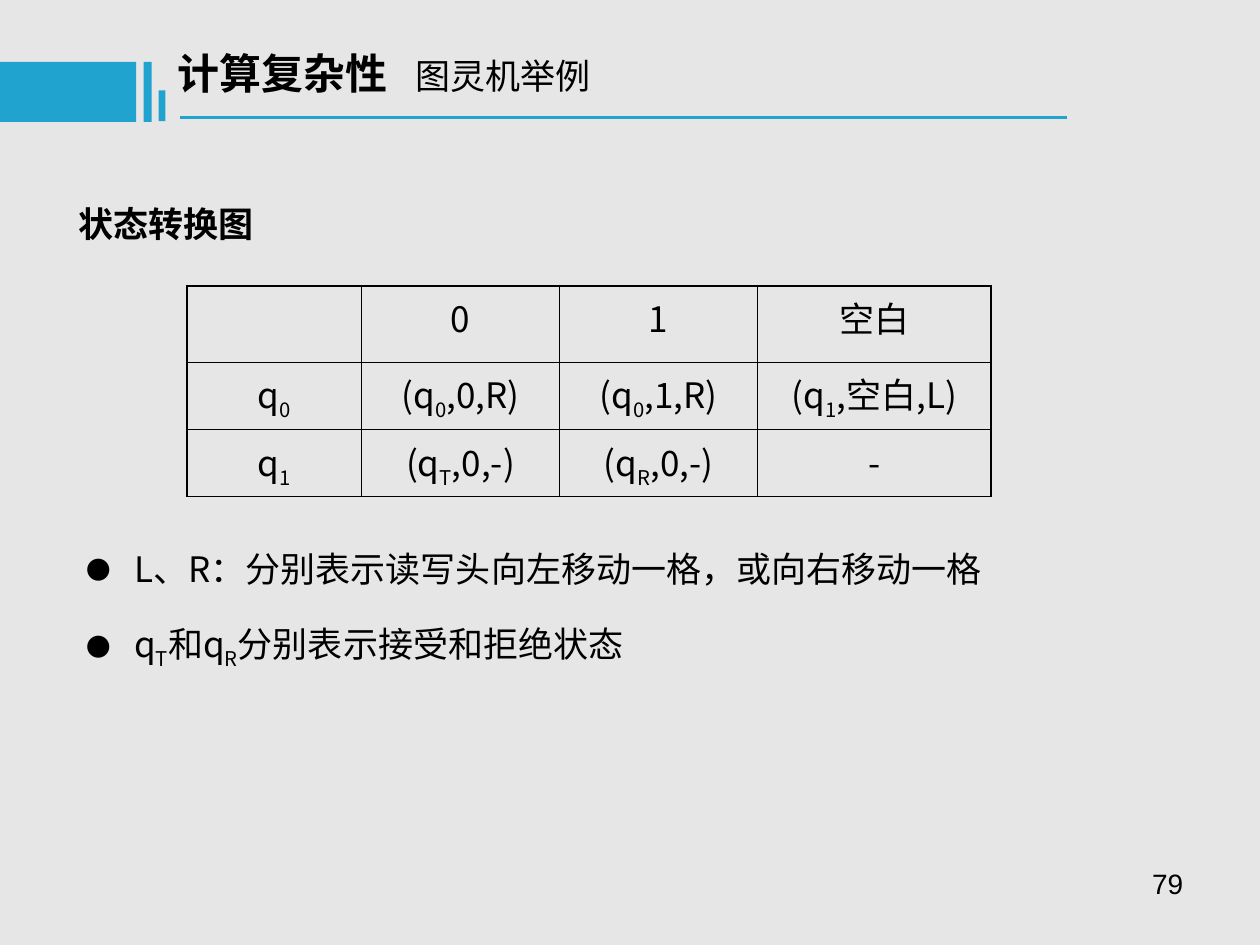
from dataclasses import dataclass

from lxml.etree import SubElement
from pptx import Presentation
from pptx.dml.color import RGBColor
from pptx.enum.shapes import MSO_CONNECTOR, MSO_SHAPE
from pptx.enum.text import MSO_ANCHOR, MSO_AUTO_SIZE, PP_ALIGN
from pptx.oxml.ns import qn
from pptx.util import Pt

BLACK = RGBColor(0x00, 0x00, 0x00)
BLUE = RGBColor(0x21, 0xA3, 0xD0)
GREY = RGBColor(0xE7, 0xE6, 0xE6)
HAN_FONT = "Noto Sans CJK SC"
OUTER, INNER = 1.08, 0.45


@dataclass(frozen=True)
class Area:
    left: float
    top: float
    width: float
    height: float

    def lengths(self) -> tuple:
        return Pt(self.left), Pt(self.top), Pt(self.width), Pt(self.height)


HEADER_BARS = [
    Area(0, 35.4, 77.8, 34.2),
    Area(82.1, 35.4, 4.6, 34.2),
    Area(90.7, 51.6, 3.9, 17.6),
]
COLUMN_WIDTHS = [99.8, 113.2, 113.2, 133.4]
ROW_HEIGHTS = [43.5, 38.5, 38.5]
TRANSITIONS = [
    ["", "0", "1", "空白"],
    ["q_0", "(q_0,0,R)", "(q_0,1,R)", "(q_1,空白,L)"],
    ["q_1", "(q_T,0,-)", "(q_R,0,-)", "-"],
]
NOTES = [
    "L、R：分别表示读写头向左移动一格，或向右移动一格",
    "q_T和q_R分别表示接受和拒绝状态",
]


def set_font(para, size: float, name: str = HAN_FONT, bold: bool = False) -> None:
    font = para.font
    font.size, font.name, font.bold = Pt(size), name, bold
    font.color.rgb = BLACK
    east_asian = SubElement(para._p.pPr.find(qn("a:defRPr")), qn("a:ea"))
    east_asian.set("typeface", HAN_FONT)


def write(para, text: str) -> None:
    """Add text in which an underscore makes the next character a subscript."""
    plain, *marked = text.split("_")
    pieces = [(plain, False)]
    for part in marked:
        pieces += [(part[0], True), (part[1:], False)]
    for piece, lowered in pieces:
        if piece:
            span = para.add_run()
            span.text = piece
            if lowered:
                span._r.get_or_add_rPr().set("baseline", "-25000")


def place(shape, area: Area) -> None:
    shape.left, shape.top, shape.width, shape.height = area.lengths()


def add_header(page) -> None:
    for area in HEADER_BARS:
        bar = page.shapes.add_shape(MSO_SHAPE.RECTANGLE, *area.lengths())
        bar.shadow.inherit = False
        bar.fill.solid()
        bar.fill.fore_color.rgb = BLUE
        bar.line.fill.background()
    rule = page.shapes.add_connector(
        MSO_CONNECTOR.STRAIGHT, Pt(103), Pt(67), Pt(610), Pt(67))
    rule.line.color.rgb = BLUE
    rule.line.width = Pt(1.5)
    SubElement(rule._element.spPr, qn("a:effectLst"))

    box = page.shapes.add_textbox(*Area(94.3, 23.8, 510.5, 36).lengths())
    box.text_frame.word_wrap = True
    para = box.text_frame.paragraphs[0]
    tabs = SubElement(para._p.get_or_add_pPr(), qn("a:tabLst"))
    SubElement(tabs, qn("a:tab"), pos=str(Pt(136)), algn="l")
    set_font(para, 24)
    for text, size, bold in [("计算复杂性\t", 24, True), ("图灵机举例", 20, False)]:
        span = para.add_run()
        span.text = text
        span.font.size, span.font.bold = Pt(size), bold


def add_title(page) -> None:
    title = page.shapes.title
    place(title, Area(36.7, 110.9, 594, 33.8))
    frame = title.text_frame
    frame.auto_size = MSO_AUTO_SIZE.NONE
    frame.vertical_anchor = MSO_ANCHOR.MIDDLE
    frame.margin_left = frame.margin_right = Pt(7.9)
    para = frame.paragraphs[0]
    para.alignment = PP_ALIGN.LEFT
    set_font(para, 20, "Arial", bold=True)
    write(para, "状态转换图")


def add_border(cell, side: str, width: float) -> None:
    line = SubElement(cell._tc.get_or_add_tcPr(), qn(f"a:ln{side}"), w=str(Pt(width)))
    fill = SubElement(line, qn("a:solidFill"))
    SubElement(fill, qn("a:srgbClr"), val=str(BLACK))


def add_transition_table(page) -> None:
    area = Area(106.8, 163.3, sum(COLUMN_WIDTHS), sum(ROW_HEIGHTS))
    last_row, last_column = len(ROW_HEIGHTS) - 1, len(COLUMN_WIDTHS) - 1
    table = page.shapes.add_table(
        last_row + 1, last_column + 1, *area.lengths()).table
    table.first_row = table.horz_banding = False
    for column, width in zip(table.columns, COLUMN_WIDTHS):
        column.width = Pt(width)
    for row, height in zip(table.rows, ROW_HEIGHTS):
        row.height = Pt(height)
    for i, texts in enumerate(TRANSITIONS):
        for j, text in enumerate(texts):
            cell = table.cell(i, j)
            edges = {"L": j == 0, "R": j == last_column,
                     "T": i == 0, "B": i == last_row}
            for side, is_outer in edges.items():
                add_border(cell, side, OUTER if is_outer else INNER)
            cell.fill.background()
            para = cell.text_frame.paragraphs[0]
            para.alignment = PP_ALIGN.CENTER
            set_font(para, 20)
            write(para, text)


def add_notes_list(page) -> None:
    body = page.placeholders[1]
    place(body, Area(42.5, 297.4, 648, 152.6))
    frame = body.text_frame
    frame.auto_size = MSO_AUTO_SIZE.NONE
    for i, text in enumerate(NOTES):
        para = frame.paragraphs[0] if i == 0 else frame.add_paragraph()
        para.line_spacing = 1.5
        para.space_before = Pt(5 if i else 0)
        properties = para._p.get_or_add_pPr()
        properties.set("marL", str(Pt(27)))
        properties.set("indent", str(Pt(-27)))
        colour = SubElement(properties, qn("a:buClr"))
        SubElement(colour, qn("a:srgbClr"), val=str(BLACK))
        SubElement(properties, qn("a:buSzPct"), val="70000")
        SubElement(properties, qn("a:buFont"), typeface=HAN_FONT)
        SubElement(properties, qn("a:buChar"), char="●")
        set_font(para, 20)
        write(para, text)


def add_page_number(page) -> None:
    box = page.shapes.add_textbox(*Area(516.2, 491.8, 167.8, 37.4).lengths())
    box.text_frame.word_wrap = True
    box.text_frame.margin_right = Pt(7.9)
    para = box.text_frame.paragraphs[0]
    para.alignment = PP_ALIGN.RIGHT
    set_font(para, 16, "Arial")
    write(para, "79")


def main() -> None:
    deck = Presentation()
    deck.slide_width, deck.slide_height = Pt(720), Pt(540)
    page = deck.slides.add_slide(deck.slide_layouts[1])
    page.background.fill.solid()
    page.background.fill.fore_color.rgb = GREY
    add_page_number(page)
    add_title(page)
    add_transition_table(page)
    add_notes_list(page)
    add_header(page)
    deck.save("out.pptx")


if __name__ == "__main__":
    main()
